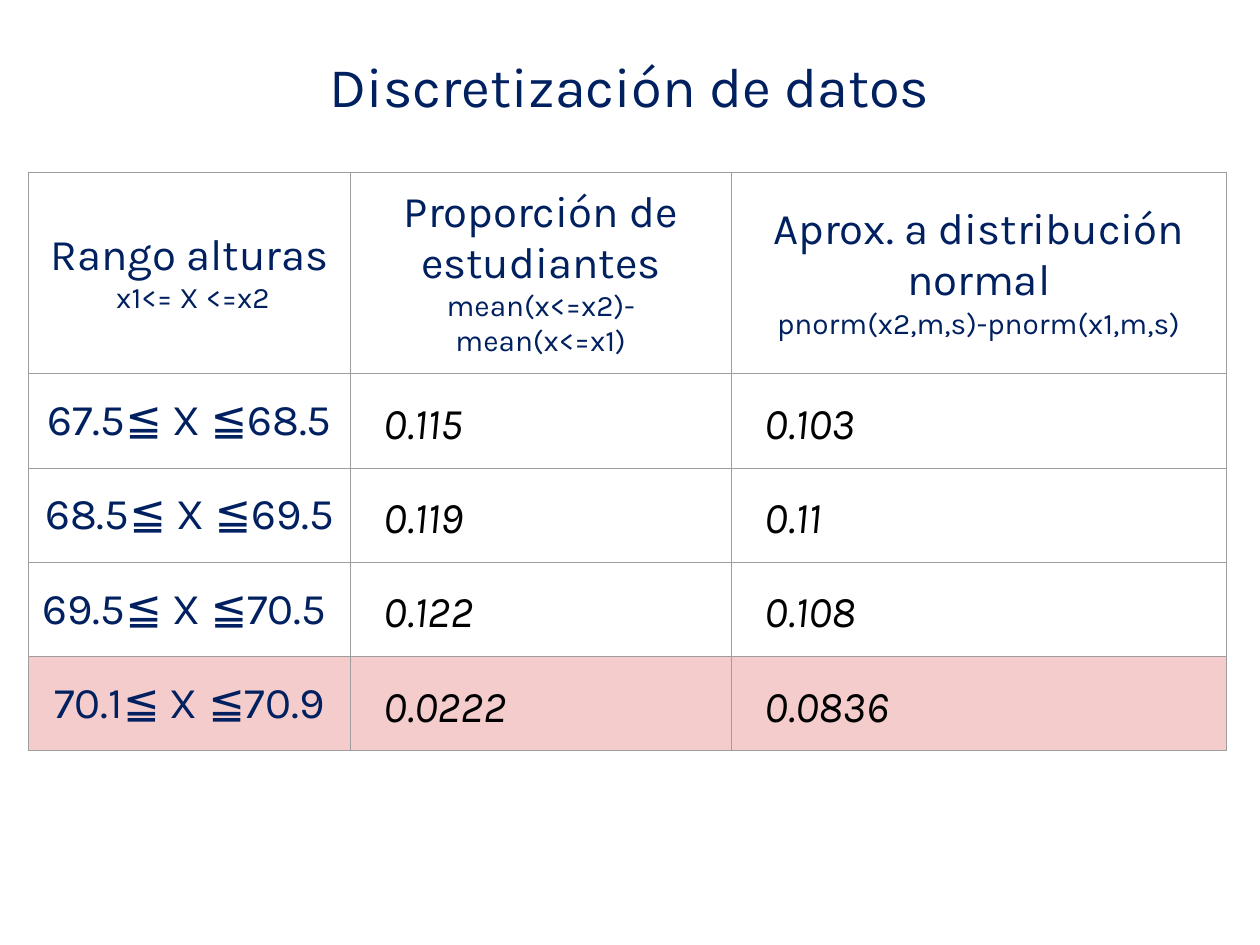
from dataclasses import dataclass

from lxml.etree import SubElement
from pptx import Presentation
from pptx.dml.color import RGBColor
from pptx.enum.text import MSO_ANCHOR as Anchor, PP_ALIGN as Align
from pptx.oxml.ns import qn
from pptx.util import Cm, Pt


@dataclass(frozen=True)
class Theme:
    font: str = "Karla"
    navy: str = "002060"
    black: str = "000000"
    border: str = "9E9E9E"
    highlight: str = "F4CCCC"
    title_size: int = 32
    body_size: int = 25
    formula_size: int = 17


@dataclass(frozen=True)
class Heading:
    label: str
    formula: str
    width: float


@dataclass(frozen=True)
class HeightRange:
    bounds: str
    proportion: str
    normal: str
    highlighted: bool = False


THEME = Theme()
HEADINGS = [
    Heading("Rango alturas", " x1<= X <=x2", 6.48),
    Heading("Proporción de estudiantes", "mean(x<=x2)-mean(x<=x1)", 7.68),
    Heading("Aprox. a distribución normal", "pnorm(x2,m,s)-pnorm(x1,m,s)", 9.98),
]
RANGES = [
    HeightRange("67.5≦ X ≦68.5", "0.115", "0.103"),
    HeightRange("68.5≦ X ≦69.5 ", "0.119", "0.11"),
    HeightRange("69.5≦ X ≦70.5 ", "0.122", "0.108"),
    HeightRange("70.1≦ X ≦70.9", "0.0222", "0.0836", highlighted=True),
]
HEADER_HEIGHT, RANGE_HEIGHT = 2.95, 1.9


def write(paragraph, text: str, size: int, color: str = THEME.navy, italic: bool = False) -> None:
    paragraph.text = text
    paragraph.alignment = Align.CENTER
    font = paragraph.font
    font.name, font.size, font.italic = THEME.font, Pt(size), italic
    font.color.rgb = RGBColor.from_string(color)


def write_value(paragraph, value: str) -> None:
    """Write an indented, left-aligned figure in black italics."""
    write(paragraph, value, THEME.body_size, THEME.black, italic=True)
    paragraph.alignment = Align.LEFT
    paragraph.line_spacing = 1.15
    paragraph.space_after = Pt(15)
    properties = paragraph._p.get_or_add_pPr()
    properties.set("marL", str(Cm(0.43)))
    properties.set("indent", "0")


def format_cell(cell, highlighted: bool = False) -> None:
    """Set margins, borders and fill; borders must precede the fill in the XML."""
    cell.vertical_anchor = Anchor.MIDDLE
    cell.margin_left = cell.margin_right = cell.margin_top = cell.margin_bottom = Cm(0.25)
    properties = cell._tc.get_or_add_tcPr()
    for side in ("lnL", "lnR", "lnT", "lnB"):
        line = SubElement(properties, qn(f"a:{side}"), w=str(Pt(0.75)))
        SubElement(SubElement(line, qn("a:solidFill")), qn("a:srgbClr"), val=THEME.border)
    if highlighted:
        cell.fill.solid()
        cell.fill.fore_color.rgb = RGBColor.from_string(THEME.highlight)
    else:
        cell.fill.background()


def add_title(slide, text: str) -> None:
    frame = slide.shapes.add_textbox(Cm(1.27), Cm(0.13), Cm(22.86), Cm(3.18)).text_frame
    frame.word_wrap = True
    frame.vertical_anchor = Anchor.MIDDLE
    write(frame.paragraphs[0], text, THEME.title_size)


def add_range_table(slide, headings: list[Heading], ranges: list[HeightRange]) -> None:
    width = sum(heading.width for heading in headings)
    height = HEADER_HEIGHT + RANGE_HEIGHT * len(ranges)
    table = slide.shapes.add_table(
        len(ranges) + 1, len(headings), Cm(0.58), Cm(3.48), Cm(width), Cm(height)
    ).table
    table.first_row = table.horz_banding = False

    table.rows[0].height = Cm(HEADER_HEIGHT)
    for column, heading in enumerate(headings):
        table.columns[column].width = Cm(heading.width)
        cell = table.cell(0, column)
        format_cell(cell)
        write(cell.text_frame.paragraphs[0], heading.label, THEME.body_size)
        write(cell.text_frame.add_paragraph(), heading.formula, THEME.formula_size)

    for row, height_range in enumerate(ranges, start=1):
        table.rows[row].height = Cm(RANGE_HEIGHT)
        bounds, *values = table.rows[row].cells
        for cell in (bounds, *values):
            format_cell(cell, height_range.highlighted)
        write(bounds.text_frame.paragraphs[0], height_range.bounds, THEME.body_size)
        for cell, value in zip(values, (height_range.proportion, height_range.normal)):
            write_value(cell.text_frame.paragraphs[0], value)


def main() -> None:
    presentation = Presentation()
    presentation.slide_width, presentation.slide_height = Cm(25.4), Cm(19.05)
    slide = presentation.slides.add_slide(presentation.slide_layouts[6])
    add_title(slide, "Discretización de datos")
    add_range_table(slide, HEADINGS, RANGES)
    presentation.save("out.pptx")


if __name__ == "__main__":
    main()
